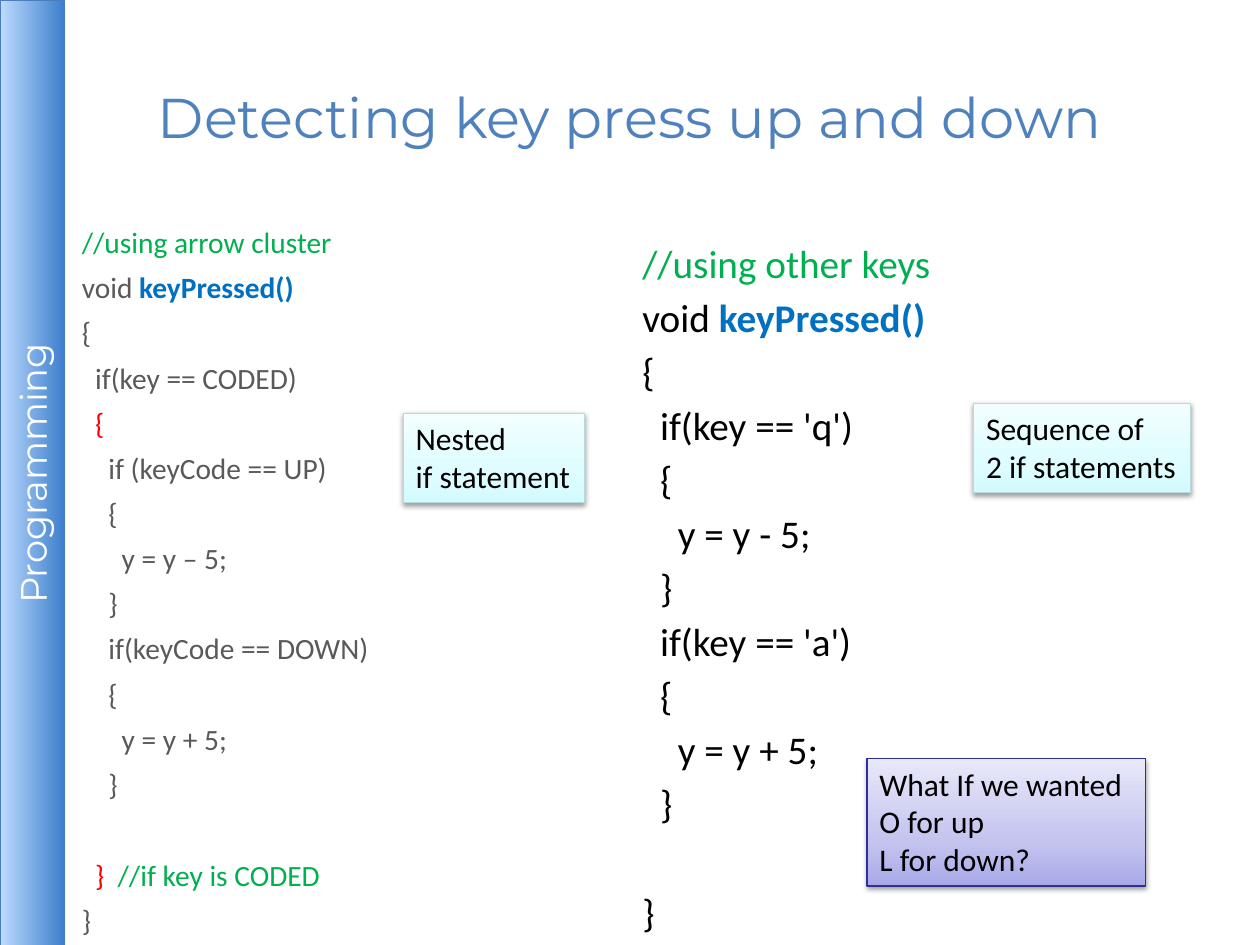
"""Build the slide on detecting key presses with nested and sequential if statements."""
from lxml.etree import SubElement
from pptx import Presentation
from pptx.dml.color import RGBColor
from pptx.enum.shapes import MSO_SHAPE
from pptx.enum.text import MSO_ANCHOR, MSO_AUTO_SIZE, PP_ALIGN
from pptx.oxml import parse_xml
from pptx.oxml.ns import nsdecls, qn
from pptx.util import Cm, Pt

WHITE = RGBColor(0xFF, 0xFF, 0xFF)
BLACK = RGBColor(0x00, 0x00, 0x00)
GRAY = RGBColor(0x59, 0x59, 0x59)
GREEN = RGBColor(0x00, 0xB0, 0x50)
RED = RGBColor(0xFF, 0x00, 0x00)
BLUE = RGBColor(0x00, 0x70, 0xC0)
TITLE_BLUE = RGBColor(0x4F, 0x81, 0xBD)
BAR_LINE = RGBColor(0x4A, 0x7D, 0xBB)
AQUA_LINE = RGBColor(0xB6, 0xDC, 0xDF)
VIOLET_LINE = RGBColor(0x2F, 0x2F, 0x98)
BAR_STOPS = [(0, RGBColor(0xBD, 0xDB, 0xFE)), (100, RGBColor(0x3E, 0x7F, 0xCD))]
AQUA_STOPS = [(0, RGBColor(0xD3, 0xFB, 0xFF)), (35, RGBColor(0xDF, 0xFC, 0xFF)),
              (100, RGBColor(0xF2, 0xFE, 0xFF))]
VIOLET_STOPS = [(0, RGBColor(0xA9, 0xA9, 0xE9)), (35, RGBColor(0xC4, 0xC4, 0xEF)),
                (100, RGBColor(0xE8, 0xE8, 0xFA))]

HEADING_FONT, BODY_FONT = "Montserrat", "Calibri"
SPACE_WIDTH, LINE_HEIGHT = 0.226, 1.22
SMALL_INSET = Cm(0.1)

SIGNATURE = [("void ", None), ("keyPressed()", BLUE)]
ARROW_CODE = [
    (0, [("//using arrow cluster", GREEN)]),
    (0, SIGNATURE),
    (0, [("{", None)]),
    (2, [("if(key == CODED)", None)]),
    (2, [("{", RED)]),
    (4, [("if (keyCode == UP)", None)]),
    (4, [("{", None)]),
    (6, [("y = y – 5;", None)]),
    (4, [("}", None)]),
    (4, [("if(keyCode == DOWN)", None)]),
    (4, [("{", None)]),
    (6, [("y = y + 5;", None)]),
    (4, [("}", None)]),
    (2, [("}  ", RED), ("//if key is CODED", GREEN)]),
    (0, [("}", None)]),
]
LETTER_CODE = [
    (0, [("//using other keys", GREEN)]),
    (0, SIGNATURE),
    (0, [("{", None)]),
    (2, [("if(key == 'q')", None)]),
    (2, [("{", None)]),
    (4, [("y = y - 5;", None)]),
    (2, [("}", None)]),
    (2, [("if(key == 'a')", None)]),
    (2, [("{", None)]),
    (4, [("y = y + 5;", None)]),
    (2, [("}", None)]),
    (0, [("}", None)]),
]
LISTINGS = [
    dict(area=(1.55, 4.42, 22.58, 13.31), inset=SMALL_INSET, code=ARROW_CODE,
         size=16.8, color=GRAY, spacing=5.6, gap_before=13),
    dict(area=(12.7, 4.57, 8.84, 12.57), inset=Cm(0.25), code=LETTER_CODE,
         size=22.4, color=BLACK, spacing=4, gap_before=11),
]
CALLOUTS = [
    ((8.13, 8.33, 3.66, 1.8), ["Nested", "if statement"], AQUA_STOPS, AQUA_LINE),
    ((19.63, 8.13, 4.37, 1.8), ["Sequence of", "2 if statements"], AQUA_STOPS, AQUA_LINE),
    ((17.48, 15.29, 5.61, 2.57), ["What If we wanted", "O for up", "L for down?"],
     VIOLET_STOPS, VIOLET_LINE),
]


def set_font(font, name, size, color):
    font.name, font.size = name, Pt(size)
    font.color.rgb = color


def set_insets(frame, inset):
    frame.margin_left = frame.margin_right = inset
    frame.margin_top = frame.margin_bottom = inset


def add_text_box(page, area, inset):
    frame = page.shapes.add_textbox(*map(Cm, area)).text_frame
    frame.word_wrap = True
    set_insets(frame, inset)
    return frame


def add_heading(frame, text, size, color):
    set_insets(frame, SMALL_INSET)
    frame.vertical_anchor = MSO_ANCHOR.MIDDLE
    para = frame.paragraphs[0]
    para.text, para.alignment = text, PP_ALIGN.CENTER
    set_font(para.font, HEADING_FONT, size, color)


def add_gradient_box(page, area, stops, angle, line_color, shadow):
    box = page.shapes.add_shape(MSO_SHAPE.RECTANGLE, *map(Cm, area))
    box.line.color.rgb, box.line.width = line_color, Pt(0.75)
    gradient = parse_xml(f'<a:gradFill {nsdecls("a")} rotWithShape="1"><a:gsLst/>'
                         f'<a:lin ang="{angle * 60000}" scaled="0"/></a:gradFill>')
    for position, color in stops:
        stop = SubElement(gradient[0], qn("a:gs"), pos=str(position * 1000))
        SubElement(stop, qn("a:srgbClr"), val=str(color))
    properties = box._element.spPr
    properties.find(qn("a:prstGeom")).addnext(gradient)
    alpha, blur, distance = shadow
    properties.append(parse_xml(
        f'<a:effectLst {nsdecls("a")}><a:outerShdw blurRad="{Pt(blur)}" dist="{Pt(distance)}" '
        f'dir="5400000" rotWithShape="0"><a:srgbClr val="000000"><a:alpha val="{alpha * 1000}"/>'
        '</a:srgbClr></a:outerShdw></a:effectLst>'))
    return box


def add_listing(page, area, inset, code, size, color, spacing, gap_before):
    frame = add_text_box(page, area, inset)
    for index, (indent, spans) in enumerate(code):
        para = frame.paragraphs[0] if index == 0 else frame.add_paragraph()
        skipped = size * LINE_HEIGHT + spacing if index == gap_before else 0
        para.space_before = Pt(spacing + skipped)
        margin = Pt(indent * SPACE_WIDTH * size)
        para._p.get_or_add_pPr().set("marL", str(margin))
        set_font(para.font, BODY_FONT, size, color)
        for text, span_color in spans:
            span = para.add_run()
            span.text = text
            set_font(span.font, BODY_FONT, size, span_color or color)
            span.font.bold = span_color == BLUE


def add_callout(page, area, lines, stops, line_color):
    box = add_gradient_box(page, area, stops, 270, line_color, (38, 3.1, 1.6))
    frame = box.text_frame
    frame.word_wrap, frame.auto_size = False, MSO_AUTO_SIZE.SHAPE_TO_FIT_TEXT
    frame.vertical_anchor = MSO_ANCHOR.TOP
    frame.text = "\n".join(lines)
    for para in frame.paragraphs:
        para.alignment = PP_ALIGN.LEFT
        set_font(para.font, BODY_FONT, 18, BLACK)


def main():
    deck = Presentation()
    deck.slide_width, deck.slide_height = Cm(25.4), Cm(19.05)
    page = deck.slides.add_slide(deck.slide_layouts[6])
    bar = add_gradient_box(page, (-8.89, 8.89, 19.08, 1.3), BAR_STOPS, 90, BAR_LINE, (35, 0, 1.8))
    bar.rotation = 270
    add_heading(bar.text_frame, "Programming", 21, WHITE)
    title = add_text_box(page, (1.27, 0.76, 22.86, 3.18), SMALL_INSET)
    add_heading(title, "Detecting key press up and down", 32, TITLE_BLUE)
    for listing in LISTINGS:
        add_listing(page, **listing)
    for callout in CALLOUTS:
        add_callout(page, *callout)
    deck.save("out.pptx")


if __name__ == "__main__":
    main()
